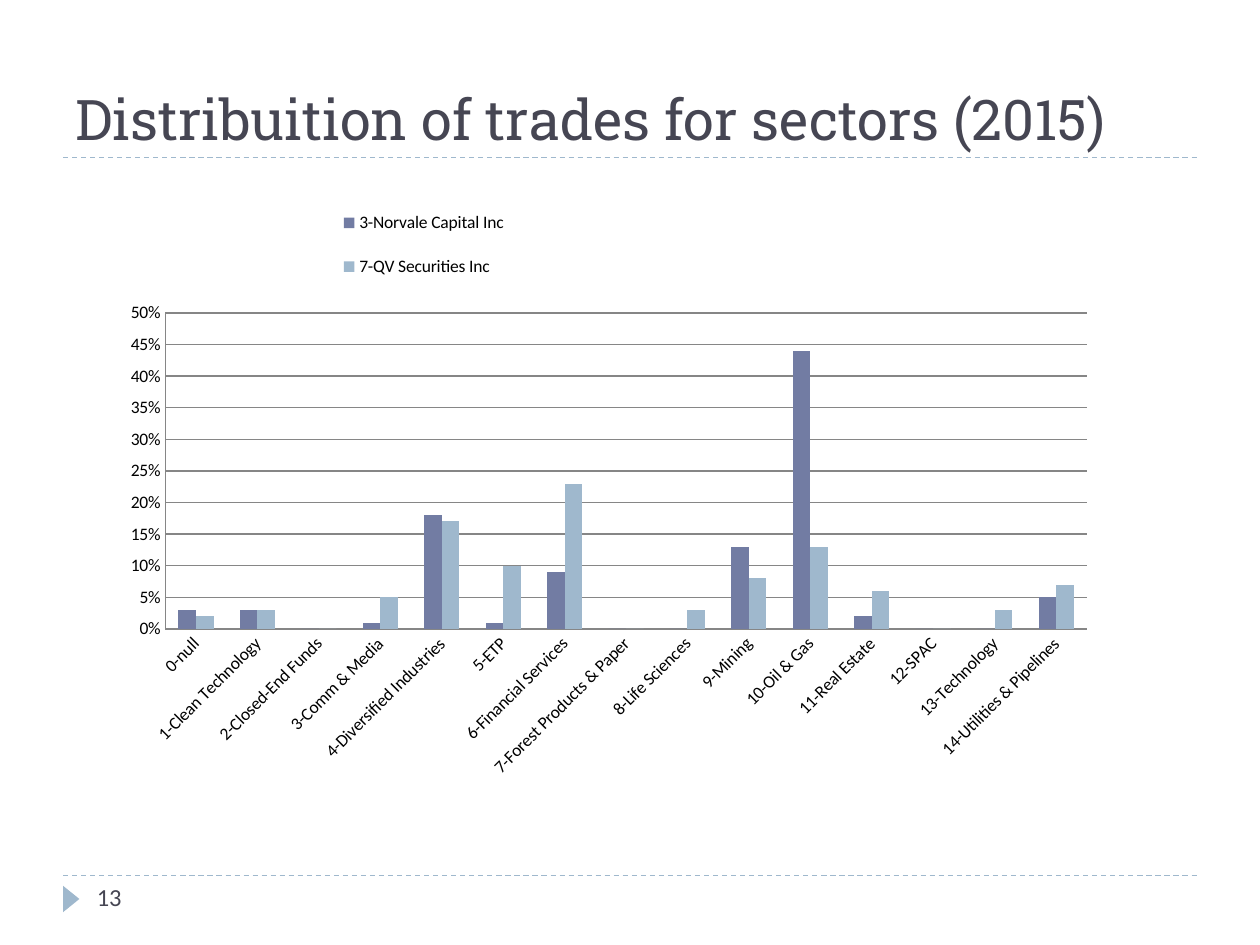
from dataclasses import dataclass

from lxml import etree
from pptx import Presentation
from pptx import util as u
from pptx.chart.data import CategoryChartData
from pptx.dml.color import RGBColor
from pptx.enum import chart as ch, dml, shapes, text
from pptx.oxml import parse_xml
from pptx.oxml.ns import nsdecls, qn


@dataclass(frozen=True)
class Theme:
    ink: str = "464653"
    black: str = "000000"
    accent: str = "727CA3"
    pale: str = "9FB8CD"
    grid: str = "868686"
    head_font: str = "Roboto Slab"
    body_font: str = "Calibri"
    title_size: int = 32
    number_size: int = 14
    chart_size: int = 10


class Deck:
    """Holds the theme and current slide; lengths are columns (10) and rows (7.5)."""

    COLS, ROWS = 10, 7.5

    def __init__(self, theme):
        self.theme = theme
        self.prs = Presentation()
        self.prs.slide_width = u.Inches(10)
        self.prs.slide_height = u.Inches(7.5)
        self.s = self.prs.slides.add_slide(self.prs.slide_layouts[6])

    def box(self, x, y, w, h):
        col = self.prs.slide_width / self.COLS
        row = self.prs.slide_height / self.ROWS
        return [round(v) for v in (x * col, y * row, w * col, h * row)]

    def rule(self, x, y, w):
        left, top, width, _ = self.box(x, y, w, 0)
        line = self.s.shapes.add_connector(
            shapes.MSO_CONNECTOR.STRAIGHT, left, top, left + width, top)
        line.line.color.rgb = RGBColor.from_string(self.theme.pale)
        line.line.width = u.Pt(0.75)
        line.line.dash_style = dml.MSO_LINE.DASH
        etree.SubElement(line._element.spPr, qn("a:effectLst"))

    def marker(self, x, y, w, h):
        sp = self.s.shapes.add_shape(
            shapes.MSO_SHAPE.ISOSCELES_TRIANGLE, *self.box(x, y, w, h))
        sp.rotation = 90
        sp.shadow.inherit = False
        sp.fill.solid()
        sp.fill.fore_color.rgb = RGBColor.from_string(self.theme.pale)
        sp.line.fill.background()

    def label(self, words, at, font, size, anchor):
        tf = self.s.shapes.add_textbox(*self.box(*at)).text_frame
        tf.word_wrap = True
        tf.vertical_anchor = anchor
        p = tf.paragraphs[0]
        p.text = words
        p.font.name, p.font.size = font, u.Pt(size)
        p.font.color.rgb = RGBColor.from_string(self.theme.ink)

    @staticmethod
    def layout(parent, x, y, w, h, inner=False):
        """Place a chart part by shares of the chart's size."""
        target = '<c:layoutTarget val="inner"/>' if inner else ""
        sizes = "".join(f'<c:{k} val="{v}"/>' for k, v in zip("xywh", (x, y, w, h)))
        for old in parent.findall(qn("c:layout")):
            parent.remove(old)
        xml = (f'<c:layout {nsdecls("c")}><c:manualLayout>{target}'
               f'<c:xMode val="edge"/><c:yMode val="edge"/>{sizes}'
               '</c:manualLayout></c:layout>')
        parent.insert(0 if inner else 1, parse_xml(xml))

    def columns(self, at, cats, series):
        data = CategoryChartData(number_format="0%")
        data.categories = cats
        for name, vals in series.items():
            data.add_series(name, vals)
        chart = self.s.shapes.add_chart(
            ch.XL_CHART_TYPE.COLUMN_CLUSTERED, *self.box(*at), data).chart
        chart.has_title = False
        chart.font.name = self.theme.body_font
        chart.font.size = u.Pt(self.theme.chart_size)
        chart.font.color.rgb = RGBColor.from_string(self.theme.black)

        # Columns
        plot = chart.plots[0]
        plot.gap_width, plot.overlap = 150, 0
        plot.vary_by_categories = False
        for ser, color in zip(plot.series, (self.theme.accent, self.theme.pale)):
            ser.format.fill.solid()
            ser.format.fill.fore_color.rgb = RGBColor.from_string(color)

        # Axes
        val, cat = chart.value_axis, chart.category_axis
        val.minimum_scale, val.maximum_scale, val.major_unit = 0, 0.5, 0.05
        val.tick_labels.number_format = "0%"
        val.tick_labels.number_format_is_linked = False
        val.has_major_gridlines = True
        for axis in (val, cat):
            axis.major_tick_mark = ch.XL_TICK_MARK.NONE
        for part in (val, cat, val.major_gridlines):
            part.format.line.color.rgb = RGBColor.from_string(self.theme.grid)
            part.format.line.width = u.Pt(0.75)
        cat.tick_labels.font.size = u.Pt(self.theme.chart_size)
        cat._element.txPr.find(qn("a:bodyPr")).set("rot", "-2700000")

        # Legend and plot area
        chart.has_legend = True
        chart.legend.position = ch.XL_LEGEND_POSITION.RIGHT
        chart.legend.include_in_layout = False
        self.layout(chart.legend._element, 0.22, 0, 0.22, 0.18)
        self.layout(plot._element.getparent(), 0.1, 0.2, 0.82, 0.51, inner=True)


SECTORS = [
    "null", "Clean Technology", "Closed-End Funds", "Comm & Media",
    "Diversified Industries", "ETP", "Financial Services",
    "Forest Products & Paper", "Life Sciences", "Mining", "Oil & Gas",
    "Real Estate", "SPAC", "Technology", "Utilities & Pipelines",
]
TRADES = {
    "3-Norvale Capital Inc": [0.03, 0.03, 0, 0.01, 0.18, 0.01, 0.09, 0, 0,
                              0.13, 0.44, 0.02, 0, 0, 0.05],
    "7-QV Securities Inc": [0.02, 0.03, 0, 0.05, 0.17, 0.1, 0.23, 0, 0.03,
                            0.08, 0.13, 0.06, 0, 0.03, 0.07],
}

theme = Theme()
deck = Deck(theme)

# Frame
for y in (6.95, 1.25):
    deck.rule(0.5, y, 9)
deck.marker(0.46, 7.07, 0.21, 0.13)

# Title and slide number
deck.label("Distribuition of trades for sectors (2015)", (0.5, 0.17, 9, 1.08),
           theme.head_font, theme.title_size, text.MSO_ANCHOR.BOTTOM)
deck.label("13", (0.67, 6.95, 2.17, 0.4),
           theme.body_font, theme.number_size, text.MSO_ANCHOR.TOP)

# Chart
deck.columns((0.42, 1.5, 8.92, 4.92),
             [f"{i}-{name}" for i, name in enumerate(SECTORS)], TRADES)

deck.prs.save("out.pptx")
